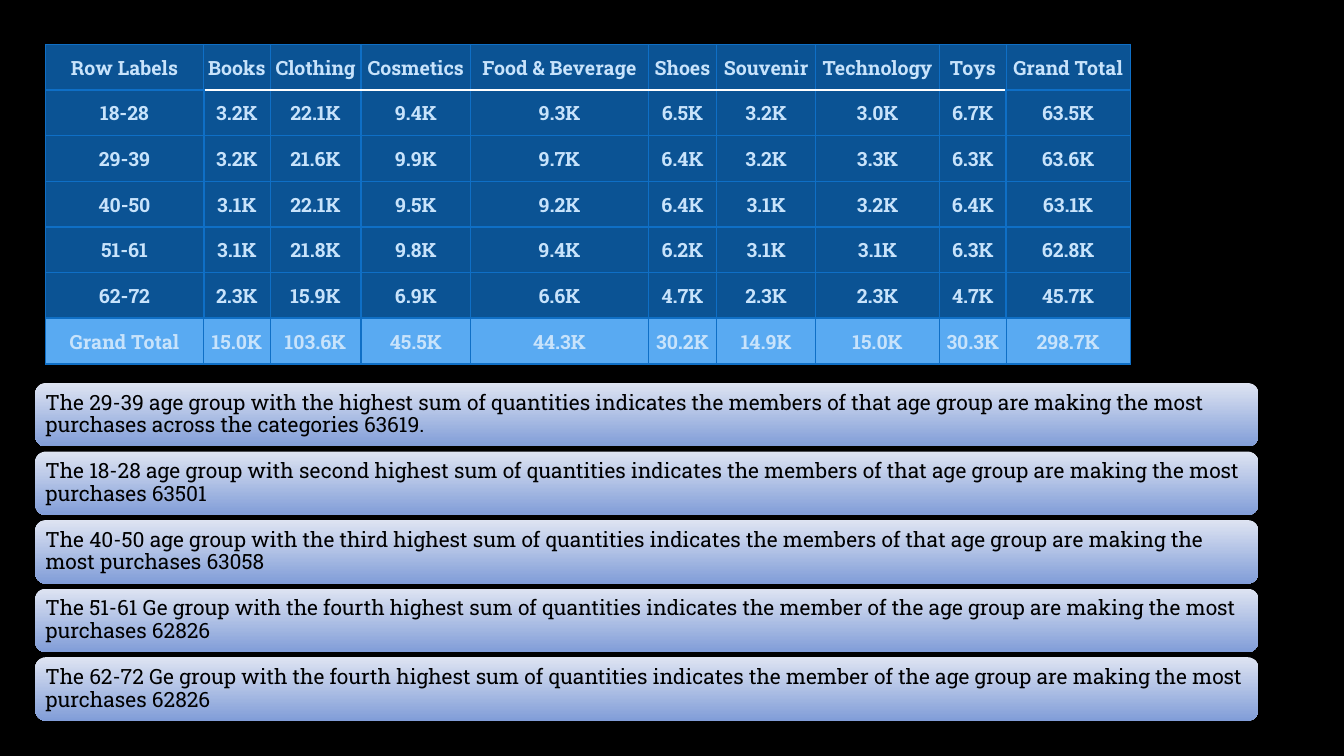
from lxml.etree import SubElement
from pptx import Presentation
from pptx.dml.color import RGBColor
from pptx.enum.shapes import MSO_SHAPE as Shape
from pptx.enum.text import MSO_ANCHOR as Anchor, PP_ALIGN as Align
from pptx.oxml.ns import qn
from pptx.util import Inches, Pt

FONT = "Roboto Slab"
GRID_BLUE = "0F6FC6"


def color(value):
    return RGBColor.from_string(value)


def write(frame, text, size=14, fill="000000", bold=False, align=Align.LEFT, spacing=None):
    paragraph = frame.paragraphs[0]
    paragraph.alignment = align
    paragraph.line_spacing = spacing
    run = paragraph.add_run()
    run.text = text
    run.font.name = FONT
    run.font.size = Pt(size)
    run.font.bold = bold
    run.font.color.rgb = color(fill)


prs = Presentation()
prs.slide_width, prs.slide_height = Inches(13.33), Inches(7.5)
slide = prs.slides.add_slide(prs.slide_layouts[6])
slide.background.fill.solid()
slide.background.fill.fore_color.rgb = color("000000")

# Quantities by age group and category
quantities = [
    ["Row Labels", "Books", "Clothing", "Cosmetics", "Food & Beverage",
     "Shoes", "Souvenir", "Technology", "Toys", "Grand Total"],
    ["18-28", "3.2K", "22.1K", "9.4K", "9.3K", "6.5K", "3.2K", "3.0K", "6.7K", "63.5K"],
    ["29-39", "3.2K", "21.6K", "9.9K", "9.7K", "6.4K", "3.2K", "3.3K", "6.3K", "63.6K"],
    ["40-50", "3.1K", "22.1K", "9.5K", "9.2K", "6.4K", "3.1K", "3.2K", "6.4K", "63.1K"],
    ["51-61", "3.1K", "21.8K", "9.8K", "9.4K", "6.2K", "3.1K", "3.1K", "6.3K", "62.8K"],
    ["62-72", "2.3K", "15.9K", "6.9K", "6.6K", "4.7K", "2.3K", "2.3K", "4.7K", "45.7K"],
    ["Grand Total", "15.0K", "103.6K", "45.5K", "44.3K", "30.2K", "14.9K", "15.0K",
     "30.3K", "298.7K"],
]
column_widths = [1.57, 0.66, 0.9, 1.09, 1.76, 0.68, 0.98, 1.23, 0.66, 1.23]
total_row = len(quantities) - 1
total_column = len(column_widths) - 1

table = slide.shapes.add_table(
    len(quantities), len(column_widths),
    Inches(0.45), Inches(0.44), Inches(10.76), Inches(3.17)).table
table.horz_banding = False
for column, width in zip(table.columns, column_widths):
    column.width = Inches(width)

for r, row in enumerate(quantities):
    for c, label in enumerate(row):
        cell = table.cell(r, c)
        cell.vertical_anchor = Anchor.MIDDLE
        cell.margin_left = cell.margin_right = cell.margin_top = Inches(0.01)
        cell.margin_bottom = 0
        write(cell.text_frame, label, fill="C8E3FB", bold=True, align=Align.CENTER)

        # Borders: white under the categories, thicker blue around the totals
        edges = [("a:lnL", c, None), ("a:lnR", c + 1, None),
                 ("a:lnT", None, r), ("a:lnB", None, r + 1)]
        for tag, x, y in edges:
            under_header = y == 1 and 0 < c < total_column
            beside_data = x in (1, total_column) and 0 < r < total_row
            thick = under_header or beside_data or (y is not None and y >= total_row)
            border = SubElement(cell._tc.get_or_add_tcPr(), qn(tag),
                                w=str(Pt(1.5 if thick else 1)))
            line_fill = SubElement(border, qn("a:solidFill"))
            SubElement(line_fill, qn("a:srgbClr"), val="FFFFFF" if under_header else GRID_BLUE)

        cell.fill.solid()
        cell.fill.fore_color.rgb = color("59AAF2" if r == total_row else "0B5394")

# Findings
findings = [
    "The 29-39 age group with the highest sum of quantities indicates the members of that "
    "age group are making the most purchases across the categories 63619.",
    "The 18-28 age group with second highest sum of quantities indicates the members of that "
    "age group are making the most purchases 63501",
    "The 40-50 age group with the third highest sum of quantities indicates the members of that "
    "age group are making the most purchases 63058",
    "The 51-61 Ge group with the fourth highest sum of quantities indicates the member of the "
    "age group are making the most purchases 62826",
    "The 62-72 Ge group with the fourth highest sum of quantities indicates the member of the "
    "age group are making the most purchases 62826",
]
for i, finding in enumerate(findings):
    bar = slide.shapes.add_shape(Shape.ROUNDED_RECTANGLE, Inches(0.35), Inches(3.8 + 0.68 * i),
                                 Inches(12.13), Inches(0.63))
    bar.shadow.inherit = False
    bar.line.fill.background()
    bar.fill.gradient()
    bar.fill.gradient_angle = 270
    for stop, shade in zip(bar.fill.gradient_stops, ["DEE4F2", "819DD8"]):
        stop.color.rgb = color(shade)
    frame = bar.text_frame
    frame.word_wrap = True
    frame.vertical_anchor = Anchor.MIDDLE
    frame.margin_left, frame.margin_right = Inches(0.07), Inches(0.05)
    frame.margin_top = frame.margin_bottom = Inches(0.03)
    write(frame, finding, size=15, spacing=0.9)

prs.save("out.pptx")
